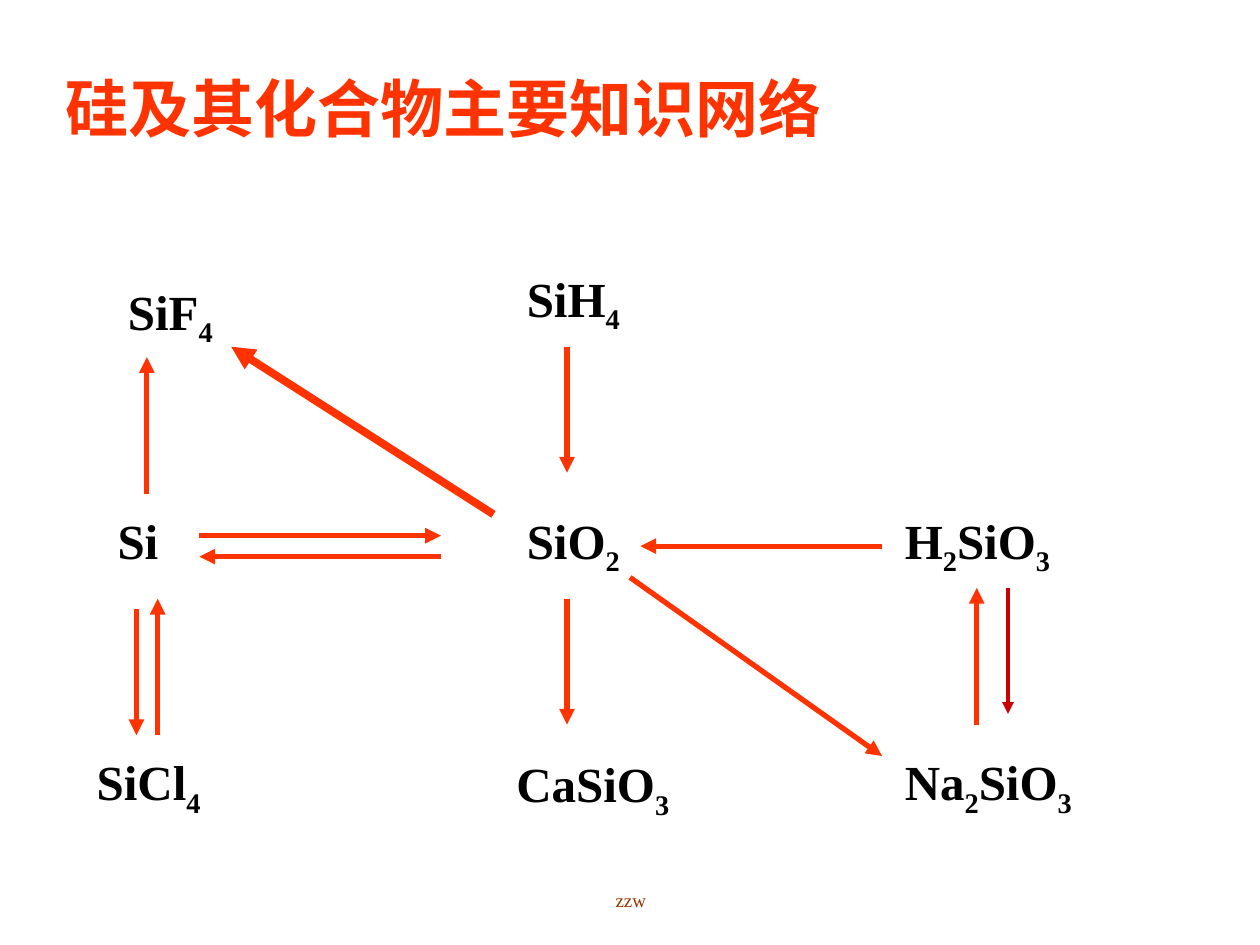
from itertools import groupby

from lxml import etree
from pptx import Presentation
from pptx.dml.color import RGBColor
from pptx.enum.shapes import MSO_CONNECTOR
from pptx.enum.text import PP_ALIGN
from pptx.oxml.ns import qn
from pptx.util import Cm, Pt

STRAIGHT = MSO_CONNECTOR.STRAIGHT
LEFT, CENTER = PP_ALIGN.LEFT, PP_ALIGN.CENTER
FONT = "Times New Roman"
COLORS = {"title": "FF3300", "formula": "000000", "footer": "993300",
          "arrow": "FF3300", "dark arrow": "CC0000"}

prs = Presentation()
prs.slide_width, prs.slide_height = Cm(25.4), Cm(19.05)
slide = prs.slides.add_slide(prs.slide_layouts[6])


def add_label(left, top, width, height, pieces, size, color, bold=True, align=LEFT):
    """Add a one-line text box; pieces are (text, is_subscript) pairs."""
    box = slide.shapes.add_textbox(Cm(left), Cm(top), Cm(width), Cm(height))
    box.text_frame.word_wrap = True
    paragraph = box.text_frame.paragraphs[0]
    paragraph.alignment = align
    paragraph.font.name = FONT
    paragraph.font.size = Pt(size)
    paragraph.font.bold = bold
    paragraph.font.color.rgb = RGBColor.from_string(COLORS[color])
    for text, is_subscript in pieces:
        run = paragraph.add_run()
        run.text = text
        if is_subscript:
            run.font._element.set("baseline", "-25000")


def add_arrow(x1, y1, x2, y2, width=3, color="arrow"):
    arrow = slide.shapes.add_connector(STRAIGHT, Cm(x1), Cm(y1), Cm(x2), Cm(y2))
    arrow.line.width = Pt(width)
    arrow.line.color.rgb = RGBColor.from_string(COLORS[color])
    etree.SubElement(arrow.line._get_or_add_ln(), qn("a:tailEnd"), type="triangle")
    etree.SubElement(arrow._element.spPr, qn("a:effectLst"))


add_label(8.69, 17.78, 8.05, 0.84, [("zzw", False)], 10.8, "footer", False, CENTER)
add_label(1.07, 1.27, 16.43, 1.78, [("硅及其化合物主要知识网络", False)], 36, "title")

# Formula, left, top, width; every digit is a subscript
compounds = [
    ("SiF4", 2.33, 5.54, 2.4),
    ("SiH4", 10.37, 5.28, 2.97),
    ("Si", 2.12, 10.16, 2.33),
    ("SiO2", 10.37, 10.16, 3.81),
    ("H2SiO3", 17.99, 10.16, 3.81),
    ("SiCl4", 1.7, 15.03, 2.97),
    ("CaSiO3", 10.16, 15.07, 4.45),
    ("Na2SiO3", 17.99, 15.03, 4.45),
]
for formula, left, top, width in compounds:
    pieces = [("".join(chars), digit) for digit, chars in groupby(formula, str.isdigit)]
    add_label(left, top, width, 1.6, pieces, 28, "formula")

reactions = [
    (2.96, 9.95, 2.96, 7.2),       # Si to SiF4
    (4.02, 10.8, 8.89, 10.8),      # Si to SiO2
    (8.89, 11.22, 4.02, 11.22),    # SiO2 to Si
    (11.43, 6.99, 11.43, 9.53),    # SiH4 to SiO2
    (2.75, 12.28, 2.75, 14.82),    # Si to SiCl4
    (3.18, 14.82, 3.18, 12.07),    # SiCl4 to Si
    (11.43, 12.07, 11.43, 14.61),  # SiO2 to CaSiO3
    (12.7, 11.64, 17.78, 15.24),   # SiO2 to Na2SiO3
    (17.78, 11.01, 12.91, 11.01),  # H2SiO3 to SiO2
    (19.69, 14.61, 19.69, 11.85),  # Na2SiO3 to H2SiO3
]
for ends in reactions:
    add_arrow(*ends)
add_arrow(9.95, 10.37, 4.66, 6.99, width=4.5)  # SiO2 to SiF4
add_arrow(20.32, 11.85, 20.32, 14.39, width=2.25, color="dark arrow")  # H2SiO3 to Na2SiO3

prs.save("out.pptx")
